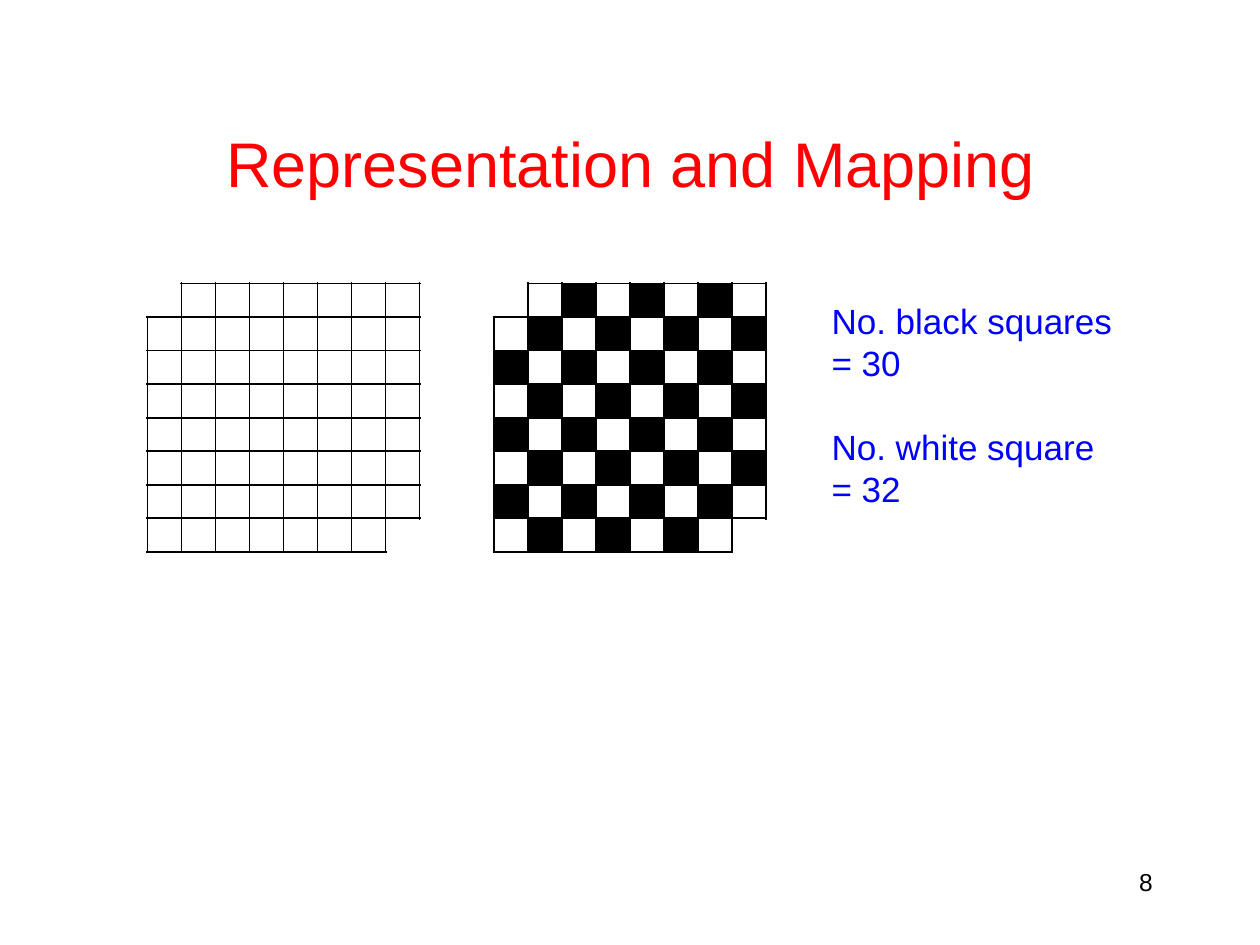
import pptx
import pptx.util
import pptx.dml.color
import pptx.enum.shapes
import pptx.enum.text
import pptx.oxml.ns
import lxml.etree

Inches = pptx.util.Inches
Pt = pptx.util.Pt
RGBColor = pptx.dml.color.RGBColor

BLACK = RGBColor(0, 0, 0)
RED = RGBColor(255, 0, 0)
BLUE = RGBColor(0, 0, 255)
COUNT = 8
WIDE = 0.27
HIGH = 2.13 / COUNT
TOP = 2.25
OVER = 0.01


def add_text(slide, box, rows, size, color, align=pptx.enum.text.PP_ALIGN.LEFT):
    """Add a text box from (text, space before) rows."""
    frame = slide.shapes.add_textbox(*map(Inches, box)).text_frame
    frame.word_wrap = True
    frame.auto_size = pptx.enum.text.MSO_AUTO_SIZE.SHAPE_TO_FIT_TEXT
    frame.margin_left = frame.margin_right = frame.margin_bottom = 0
    frame.margin_top = Inches(0.01)
    for index, (text, gap) in enumerate(rows):
        para = frame.add_paragraph() if index else frame.paragraphs[0]
        para.text = text
        para.alignment = align
        para.line_spacing = Pt(round(size * 1.2))
        if gap:
            para.space_before = Pt(gap)
        para.font.name = "Arial"
        para.font.size = Pt(size)
        para.font.color.rgb = color


def add_line(slide, *ends):
    """Draw a thin black line between two points."""
    line = slide.shapes.add_connector(
        pptx.enum.shapes.MSO_CONNECTOR.STRAIGHT, *map(Inches, ends))
    line.line.color.rgb = BLACK
    line.line.width = Pt(1)
    lxml.etree.SubElement(line._element.spPr, pptx.oxml.ns.qn("a:effectLst"))


def add_square(slide, left, top):
    """Fill one black square of a board."""
    square = slide.shapes.add_shape(
        pptx.enum.shapes.MSO_SHAPE.RECTANGLE,
        *map(Inches, (left, top, WIDE, HIGH)))
    square.shadow.inherit = False
    square.fill.solid()
    square.fill.fore_color.rgb = BLACK
    square.line.fill.background()


def add_board(slide, left, checks):
    """Draw a board that lacks its top left and bottom right corners."""
    corners = ((0, 0), (COUNT - 1, COUNT - 1))
    if checks:
        for row in range(COUNT):
            for col in range(row % 2, COUNT, 2):
                if (row, col) not in corners:
                    add_square(slide, left + col * WIDE, TOP + row * HIGH)
    for step in range(COUNT + 1):
        first = 1 if step == 0 else 0
        last = COUNT - 1 if step == COUNT else COUNT
        across = left + step * WIDE
        down = TOP + step * HIGH
        add_line(slide, across, TOP + first * HIGH - OVER,
                 across, TOP + last * HIGH + OVER)
        add_line(slide, left + first * WIDE - OVER, down,
                 left + last * WIDE + OVER, down)


def main():
    """Build the slide and save it."""
    deck = pptx.Presentation()
    deck.slide_width = Inches(10)
    deck.slide_height = Inches(7.5)
    slide = deck.slides.add_slide(deck.slide_layouts[6])
    add_text(slide, (1.78, 0.98, 6.45, 0.63),
             [("Representation and Mapping", 0)], 36, RED,
             pptx.enum.text.PP_ALIGN.CENTER)
    add_board(slide, 1.17, False)
    add_board(slide, 3.92, True)
    add_text(slide, (6.6, 2.37, 2.26, 1.68),
             [("No. black squares", 0), ("= 30", 0),
              ("No. white square", 24), ("= 32", 0)], 20, BLUE)
    add_text(slide, (9.04, 6.87, 0.14, 0.25), [("8", 0)], 14, BLACK)
    deck.save("out.pptx")


if __name__ == "__main__":
    main()
